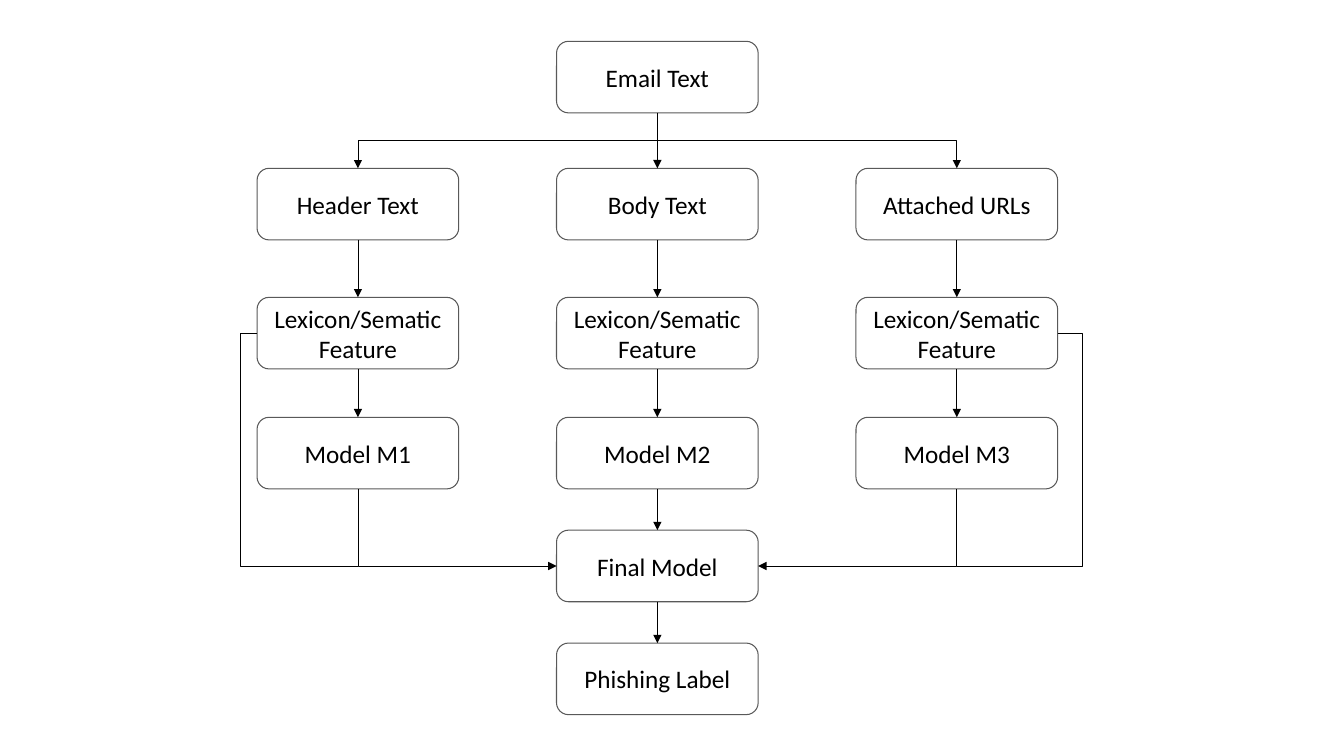
from dataclasses import dataclass
from itertools import pairwise

from lxml import etree
from pptx import Presentation
from pptx import util as u
from pptx.dml.color import RGBColor
from pptx.enum import shapes, text
from pptx.oxml.ns import qn


@dataclass(frozen=True)
class Theme:
    font: str = "Calibri"
    size: u.Pt = u.Pt(18)
    ink: RGBColor = RGBColor(0, 0, 0)
    border: RGBColor = RGBColor(0x59, 0x59, 0x59)
    border_width: u.Pt = u.Pt(0.75)
    arrow_width: u.Pt = u.Pt(0.5)


@dataclass(frozen=True)
class Grid:
    """Box grid in inches: column centres at equal steps, and a top for each row."""
    first_centre: float = 3.55
    step: float = 2.97
    tops: tuple = (0.41, 1.67, 2.95, 4.14, 5.26, 6.38)
    box_width: float = 2
    box_height: float = 0.71

    def left(self, col: int) -> u.Inches:
        return u.Inches(self.first_centre + col * self.step - self.box_width / 2)

    def top(self, row: int) -> u.Inches:
        return u.Inches(self.tops[row])


@dataclass(frozen=True)
class Node:
    col: int
    row: int
    label: str


THEME, GRID = Theme(), Grid()
TOP, LEFT, BOTTOM, RIGHT = range(4)
FEATURE = "Lexicon/Sematic\nFeature"
BRANCHES = (
    ("Header Text", FEATURE, "Model M1"),
    ("Body Text", FEATURE, "Model M2"),
    ("Attached URLs", FEATURE, "Model M3"),
)
NODES = (
    Node(1, 0, "Email Text"),
    *(Node(col, row, label) for col, branch in enumerate(BRANCHES)
      for row, label in enumerate(branch, 1)),
    Node(1, 4, "Final Model"),
    Node(1, 5, "Phishing Label"),
)


def add_box(s, node: Node):
    sp = s.shapes.add_shape(
        shapes.MSO_SHAPE.ROUNDED_RECTANGLE, GRID.left(node.col), GRID.top(node.row),
        u.Inches(GRID.box_width), u.Inches(GRID.box_height))
    sp.shadow.inherit = False
    sp.fill.background()
    sp.line.color.rgb = THEME.border
    sp.line.width = THEME.border_width
    tf = sp.text_frame
    tf.text = node.label
    tf.vertical_anchor = text.MSO_ANCHOR.MIDDLE
    for p in tf.paragraphs:
        p.alignment = text.PP_ALIGN.CENTER
        for name, value in {"name": THEME.font, "size": THEME.size}.items():
            setattr(p.runs[0].font, name, value)
        p.runs[0].font.color.rgb = THEME.ink
    return sp


def side(sp, site: int) -> tuple[int, int]:
    """Return the middle of one side of a box."""
    x, y = sp.left + sp.width // 2, sp.top + sp.height // 2
    return {TOP: (x, sp.top), LEFT: (sp.left, y),
            BOTTOM: (x, sp.top + sp.height), RIGHT: (sp.left + sp.width, y)}[site]


def add_line(s, kind, start: tuple[int, int], end: tuple[int, int], arrow: bool = True):
    cxn = s.shapes.add_connector(kind, *start, *end)
    cxn.line.color.rgb = THEME.ink
    cxn.line.width = THEME.arrow_width
    sp_pr = cxn.element.spPr
    if arrow:
        etree.SubElement(sp_pr.find(qn("a:ln")), qn("a:tailEnd"), type="triangle")
    etree.SubElement(sp_pr, qn("a:effectLst"))
    return cxn


def add_down_arrow(s, upper, lower) -> None:
    cxn = add_line(s, shapes.MSO_CONNECTOR.STRAIGHT, side(upper, BOTTOM), side(lower, TOP))
    cxn.begin_connect(upper, BOTTOM)
    cxn.end_connect(lower, TOP)


def add_drop_arrow(s, start: tuple[int, int], end: tuple[int, int], preset: str) -> None:
    """Draw an elbow arrow that leaves downwards: a sideways elbow turned a quarter."""
    cxn = add_line(s, shapes.MSO_CONNECTOR.ELBOW, start, end)
    dx, dy = end[0] - start[0], end[1] - start[1]
    frame = {"left": (start[0] + end[0] - dy) // 2, "top": (start[1] + end[1] - abs(dx)) // 2,
             "width": dy, "height": abs(dx)}
    for name, value in frame.items():
        setattr(cxn, name, value)
    sp_pr = cxn.element.spPr
    xfrm = sp_pr.find(qn("a:xfrm"))
    xfrm.set("rot", str((270 if dx > 0 else 90) * 60000))
    xfrm.set("flipH", "1" if dx > 0 else "0")
    sp_pr.find(qn("a:prstGeom")).set("prst", preset)


def add_bypass(s, start: tuple[int, int], end: tuple[int, int], reach: float) -> None:
    """Draw a line that steps out by reach inches, runs down and turns back in."""
    cxn = add_line(s, shapes.MSO_CONNECTOR.ELBOW, start, end, arrow=False)
    geom = cxn.element.spPr.find(qn("a:prstGeom"))
    geom.set("prst", "bentConnector4")
    guides = geom.get_or_add_avLst()
    out = -u.Inches(reach) / abs(end[0] - start[0])
    for name, share in {"adj1": out, "adj2": 1}.items():
        etree.SubElement(guides, qn("a:gd"), name=name, fmla=f"val {round(share * 100000)}")


def main() -> None:
    prs = Presentation()
    prs.slide_width, prs.slide_height = u.Inches(13.33), u.Inches(7.5)
    s = prs.slides.add_slide(prs.slide_layouts[6])
    boxes = {(node.col, node.row): add_box(s, node) for node in NODES}

    for (upper_at, upper), (lower_at, lower) in pairwise(sorted(boxes.items())):
        if upper_at[0] == lower_at[0]:
            add_down_arrow(s, upper, lower)

    email, final = boxes[1, 0], boxes[1, 4]
    for col, outer, inner, reach in ((0, LEFT, LEFT, 0.17), (2, RIGHT, RIGHT, 0.25)):
        model_foot, final_side = side(boxes[col, 3], BOTTOM), side(final, inner)
        add_drop_arrow(s, side(email, BOTTOM), side(boxes[col, 1], TOP), "bentConnector3")
        add_drop_arrow(s, model_foot, final_side, "bentConnector2")
        add_bypass(s, side(boxes[col, 2], outer), (model_foot[0], final_side[1]), reach)

    prs.save("out.pptx")


if __name__ == "__main__":
    main()
